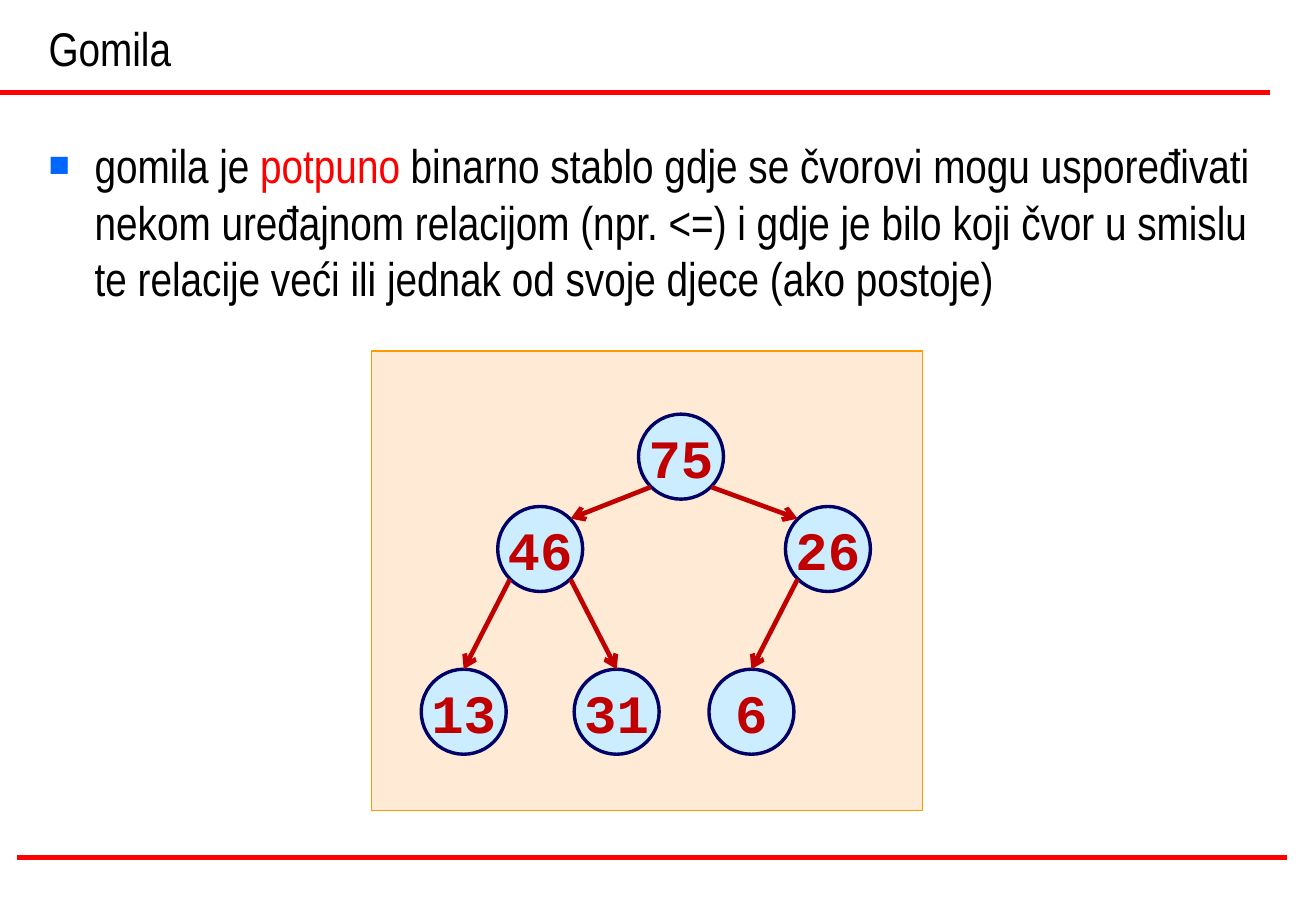
from dataclasses import dataclass
from typing import Any, Optional

from lxml import etree
from pptx import Presentation
from pptx import util as u
from pptx.dml.color import RGBColor
from pptx.enum import shapes, text
from pptx.oxml import ns

SCALE = 9144  # EMU in one px, 100 px to the inch
WIDE, HIGH = 1084, 750
SIZE = 70  # node diameter
REACH = 25  # centre to the diagonal point of a node, on each axis


@dataclass(frozen=True)
class Theme:
    ink: str = "000000"
    red: str = "FF0000"
    bullet: str = "0066FF"
    panel: str = "FFCC99"
    frame: str = "FF9900"
    node: str = "CCECFF"
    ring: str = "000066"
    dark: str = "C00000"
    prose: str = "Arial Narrow"
    mono: str = "Courier New"
    body: int = 28
    key: int = 32


@dataclass(frozen=True)
class Node:
    key: str
    x: int  # centre
    y: int
    parent: Optional[int] = None
    corner: bool = False  # arrow ends at the upper corner, not the top


THEME = Theme()
RULES = [(0, 76), (14, 706)]
RULE_WIDTH = 1046
HEAP = [
    Node("75", 561, 376),
    Node("46", 445, 452, 0, True),
    Node("26", 682, 452, 0, True),
    Node("13", 382, 586, 1),
    Node("31", 508, 586, 1),
    Node("6", 619, 586, 2),
]
TITLE = "Gomila"
BODY = [
    ("gomila je ", THEME.ink),
    ("potpuno", THEME.red),
    (" binarno stablo gdje se čvorovi mogu uspoređivati nekom uređajnom "
     "relacijom (npr. <=) i gdje je bilo koji čvor u smislu te relacije "
     "veći ili jednak od svoje djece (ako postoje)", THEME.ink),
]


def px(size: int) -> u.Emu:
    return u.Emu(size * SCALE)


def apply(item: Any, style: dict[str, Any]) -> None:
    for name, value in style.items():
        setattr(item, name, value)


def add(parent: Any, tag: str, **attrs: str) -> Any:
    return etree.SubElement(parent, ns.qn(tag), attrs)


def write(para: Any, words: str, color: str, style: dict[str, Any]) -> None:
    run = para.add_run()
    run.text = words
    apply(run.font, style)
    run.font.color.rgb = RGBColor.from_string(color)


def place(item: Any, x: int, y: int, w: int, h: int) -> None:
    apply(item, {"left": px(x), "top": px(y), "width": px(w), "height": px(h)})


def line(slide: Any, x1: int, y1: int, x2: int, y2: int,
         color: str, width: float) -> Any:
    link = slide.shapes.add_connector(
        shapes.MSO_CONNECTOR.STRAIGHT, px(x1), px(y1), px(x2), px(y2))
    link.line.color.rgb = RGBColor.from_string(color)
    link.line.width = u.Pt(width)
    add(link.element.spPr, "a:effectLst")
    return link


def form(slide: Any, kind: Any, box: tuple[int, int, int, int],
         fill: str, edge: str, width: float) -> Any:
    shape = slide.shapes.add_shape(kind, *map(px, box))
    shape.shadow.inherit = False
    shape.fill.solid()
    shape.fill.fore_color.rgb = RGBColor.from_string(fill)
    shape.line.color.rgb = RGBColor.from_string(edge)
    shape.line.width = u.Pt(width)
    return shape


def prose(slide: Any) -> None:
    style = {"name": THEME.prose, "size": u.Pt(THEME.body)}
    title, body = slide.shapes.title, slide.placeholders[1]
    place(title, 30, 0, 1016, 68)
    place(body, 30, 107, 1024, 583)
    anchors = (text.MSO_ANCHOR.BOTTOM, text.MSO_ANCHOR.TOP)
    for item, anchor in zip((title, body), anchors):
        apply(item.text_frame, {"word_wrap": True, "vertical_anchor": anchor,
                                "auto_size": text.MSO_AUTO_SIZE.NONE})
        apply(item.text_frame.paragraphs[0],
              {"alignment": text.PP_ALIGN.LEFT, "space_before": u.Pt(0)})
    write(title.text_frame.paragraphs[0], TITLE, THEME.ink, style)

    # Square bullet with a hanging indent
    para = body.text_frame.paragraphs[0]
    props = para._p.get_or_add_pPr()
    props.set("marL", str(px(38)))
    props.set("indent", str(px(-38)))
    add(add(props, "a:buClr"), "a:srgbClr", val=THEME.bullet)
    add(props, "a:buSzPct", val="75000")
    add(props, "a:buFont", typeface="Arial")
    add(props, "a:buChar", char="■")
    for words, color in BODY:
        write(para, words, color, style)


def circle(slide: Any, node: Node) -> None:
    half = SIZE // 2
    shape = form(slide, shapes.MSO_SHAPE.OVAL,
                 (node.x - half, node.y - half, SIZE, SIZE),
                 THEME.node, THEME.ring, 2)
    apply(shape.text_frame, {"word_wrap": False,
                             "vertical_anchor": text.MSO_ANCHOR.MIDDLE})
    para = shape.text_frame.paragraphs[0]
    para.alignment = text.PP_ALIGN.CENTER
    write(para, node.key, THEME.dark,
          {"name": THEME.mono, "size": u.Pt(THEME.key), "bold": True})


def arrow(slide: Any, top: Node, node: Node) -> None:
    side = REACH if node.x > top.x else -REACH
    x, y = ((node.x - side, node.y - REACH) if node.corner
            else (node.x, node.y - SIZE // 2))
    link = line(slide, top.x + side, top.y + REACH, x, y, THEME.dark, 2.75)
    add(link.line._get_or_add_ln(), "a:tailEnd", type="arrow")


def main() -> None:
    deck = Presentation()
    apply(deck, {"slide_width": px(WIDE), "slide_height": px(HIGH)})
    slide = deck.slides.add_slide(deck.slide_layouts[1])

    # Red rules, title and list
    for x, y in RULES:
        line(slide, x, y, x + RULE_WIDTH, y, THEME.red, 3)
    prose(slide)

    # Translucent panel
    panel = form(slide, shapes.MSO_SHAPE.RECTANGLE, (306, 289, 454, 378),
                 THEME.panel, THEME.frame, 0.75)
    tint = panel.element.spPr.find(ns.qn("a:solidFill"))[0]
    add(tint, "a:alpha", val="40000")

    # Heap
    for node in HEAP:
        circle(slide, node)
    for node in HEAP:
        if node.parent is not None:
            arrow(slide, HEAP[node.parent], node)

    deck.save("out.pptx")


if __name__ == "__main__":
    main()
